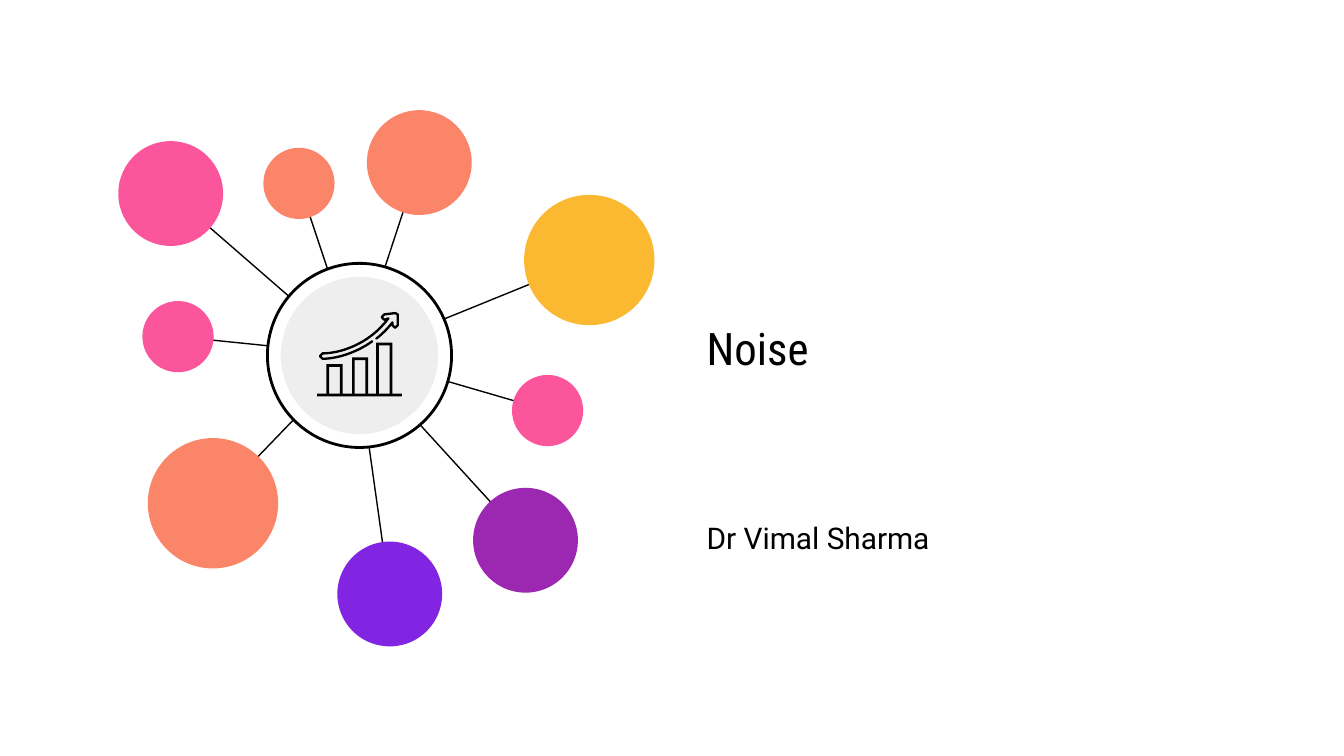
import pptx
import pptx.dml.color
import pptx.enum.shapes
import pptx.enum.text
import pptx.oxml.ns
import pptx.util
from lxml import etree

Inches = pptx.util.Inches
Pt = pptx.util.Pt

PINK, CORAL, GOLD = "FB569C", "FB8569", "FBB831"
PLUM, VIOLET = "9C27B0", "8225E2"

# left, top, diameter, colour, measured from the corner of the diagram
BUBBLES = [
    (3.02, 0.63, 0.97, GOLD),
    (0.22, 2.44, 0.97, CORAL),
    (1.85, 0, 0.78, CORAL),
    (0, 0.23, 0.78, PINK),
    (2.64, 2.81, 0.78, PLUM),
    (1.63, 3.21, 0.78, VIOLET),
    (0.18, 1.42, 0.53, PINK),
    (2.93, 1.97, 0.53, PINK),
    (1.08, 0.28, 0.53, CORAL),
]


def color(code):
    return pptx.dml.color.RGBColor.from_string(code)


def style(shape, fill=None, line=None, width=1.5):
    shape.shadow.inherit = False
    if fill:
        shape.fill.solid()
        shape.fill.fore_color.rgb = color(fill)
    else:
        shape.fill.background()
    if line:
        shape.line.color.rgb = color(line)
        shape.line.width = Pt(width)
    else:
        shape.line.fill.background()


def add_text(slide, text, box, size, font, code="000000"):
    area = slide.shapes.add_textbox(*map(Inches, box))
    frame = area.text_frame
    frame.word_wrap = True
    frame.vertical_anchor = pptx.enum.text.MSO_ANCHOR.MIDDLE
    frame.margin_left = frame.margin_right = Inches(0.1)
    frame.margin_top = frame.margin_bottom = Inches(0.1)
    run = frame.paragraphs[0].add_run()
    run.text = text
    run.font.size = Pt(size)
    run.font.name = font
    run.font.color.rgb = color(code)


def add_disc(slide, left, top, size, fill, line=None):
    oval = pptx.enum.shapes.MSO_SHAPE.OVAL
    disc = slide.shapes.add_shape(
        oval, Inches(left), Inches(top), Inches(size), Inches(size))
    style(disc, fill, line)


def add_spoke(slide, start, end):
    kind = pptx.enum.shapes.MSO_CONNECTOR.STRAIGHT
    spoke = slide.shapes.add_connector(kind, *map(Inches, start + end))
    spoke.line.color.rgb = color("000000")
    spoke.line.width = Pt(0.75)
    etree.SubElement(spoke._element.spPr, pptx.oxml.ns.qn("a:effectLst"))


def add_path(slide, left, top, loops, close=True):
    """Draw loops of points, given in inches from left and top, as one shape."""
    loops = [[(Inches(left + x), Inches(top + y)) for x, y in loop]
             for loop in loops]
    pen = slide.shapes.build_freeform(*loops[0][0])
    for index, loop in enumerate(loops):
        if index:
            pen.move_to(*loop[0])
        pen.add_line_segments(loop[1:], close=close)
    return pen.convert_to_shape()


def curve(a, b, c, d, steps=16):
    """Points along a cubic Bezier curve."""
    points = []
    for step in range(steps + 1):
        t = step / steps
        u = 1 - t
        points.append(tuple(
            u**3 * p + 3 * u * u * t * q + 3 * u * t * t * r + t**3 * s
            for p, q, r, s in zip(a, b, c, d)))
    return points


def add_icon(slide, left, top):
    base, floor, wide, edge = 0.61, 0.63, 0.12, 0.02
    skyline, holes = [(0, floor), (0, base)], []
    for x, y in [(0.07, 0.39), (0.26, 0.34), (0.44, 0.23)]:
        skyline += [(x, base), (x, y), (x + wide, y), (x + wide, base)]
        near, far = x + edge, x + wide - edge
        holes.append([(near, y + edge), (near, base),
                      (far, base), (far, y + edge)])
    skyline += [(floor, base), (floor, floor)]
    bars = add_path(slide, left, top, [skyline] + holes)
    style(bars, "000000")

    lower = curve((0.41, 0.22), (0.3, 0.3), (0.15, 0.35), (0.04, 0.35))
    upper = curve((0.04, 0.31), (0.16, 0.31), (0.38, 0.25), (0.53, 0.05))
    head = [(0.5, 0.06), (0.48, 0.04), (0.5, 0.02), (0.58, 0.01),
            (0.6, 0.02), (0.6, 0.1), (0.58, 0.12), (0.56, 0.1), (0.56, 0.08)]
    shaft = curve((0.56, 0.08), (0.52, 0.13), (0.48, 0.17), (0.44, 0.2))
    trend = add_path(slide, left, top,
                     [lower + [(0.02, 0.33)] + upper + head + shaft],
                     close=False)
    style(trend, line="000000", width=1.25)
    trend.line._get_or_add_ln().set("cap", "rnd")


def add_diagram(slide, left, top):
    hub = (left + 1.77, top + 1.82)
    for x, y, size, fill in BUBBLES:
        x, y = left + x, top + y
        add_spoke(slide, (x + size / 2, y + size / 2), hub)
        add_disc(slide, x, y, size, fill)
    add_disc(slide, left + 1.11, top + 1.14, 1.37, "FFFFFF", "000000")
    add_disc(slide, left + 1.21, top + 1.24, 1.17, "EEEEEE")
    add_icon(slide, left + 1.48, top + 1.5)


def add_heading(slide, left, top):
    add_text(slide, "Noise", (left, top, 3.76, 2.37), 24, "Roboto Condensed")
    add_text(slide, "Dr Vimal Sharma", (left, top + 2.37, 4.31, 0.46),
             16, "Roboto")


def main():
    deck = pptx.Presentation()
    deck.slide_width = Inches(10)
    deck.slide_height = deck.slide_width * 9 // 16
    slide = deck.slides.add_slide(deck.slide_layouts[6])
    add_heading(slide, 5.16, 1.4)
    add_diagram(slide, 0.88, 0.82)
    deck.save("out.pptx")


if __name__ == "__main__":
    main()
